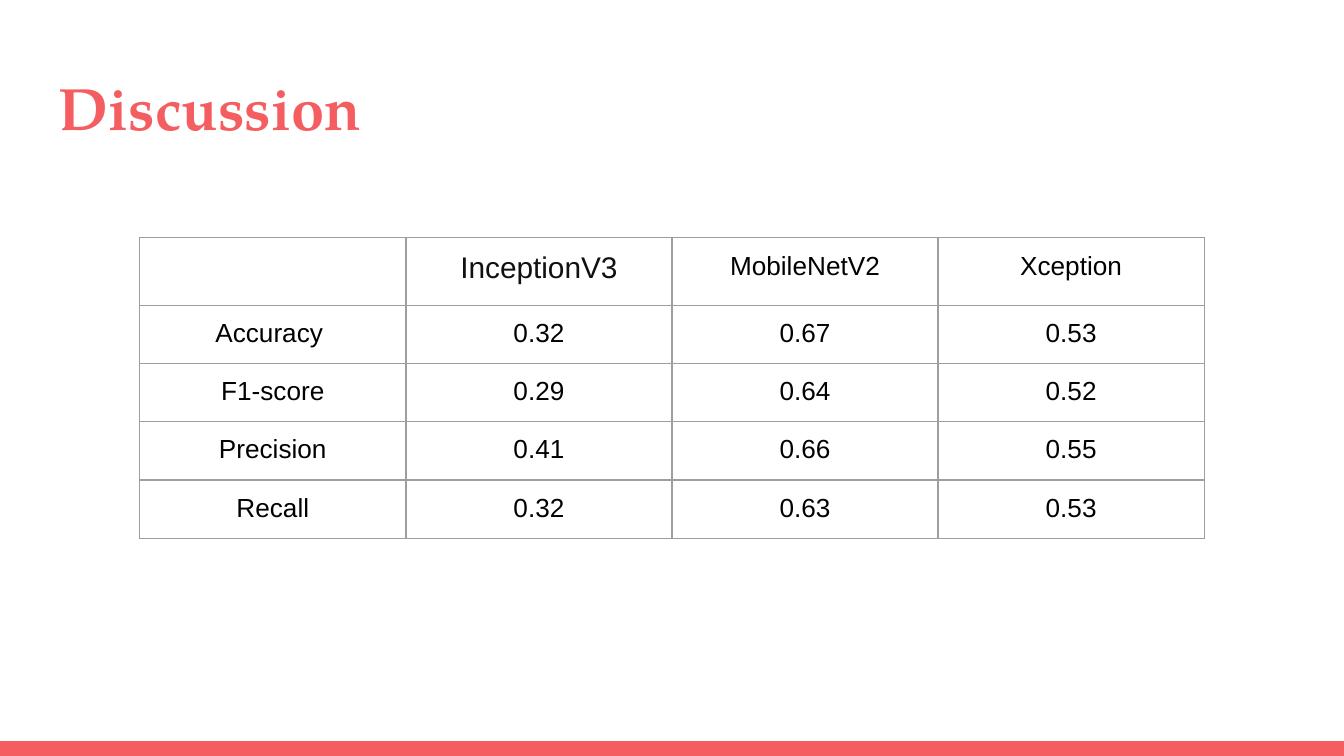
"""Build the discussion slide: a title, a table of model scores and a footer bar."""
import pptx
import pptx.util
import pptx.dml.color
import pptx.enum.shapes
import pptx.enum.text
import pptx.oxml
import pptx.oxml.ns

TITLE = "Discussion"
SCORES = [
    ("", "InceptionV3", "MobileNetV2", "Xception"),
    ("Accuracy ", "0.32", "0.67", "0.53"),
    ("F1-score", "0.29", "0.64", "0.52"),
    ("Precision", "0.41", "0.66", "0.55"),
    ("Recall", "0.32", "0.63", "0.53"),
]
COLORS = {"coral": "F55E61", "grid": "9E9E9E", "text": "000000", "lead": "111111"}
WIDTH = 10
HEIGHT = WIDTH * 9 / 16
COL, ROW, TOP = 1.98, 0.42, 1.77
PAD, BAR = 0.1, 0.11

Inches, Pt = pptx.util.Inches, pptx.util.Pt
SPACE = pptx.oxml.ns.nsdecls("a")


def rgb(name):
    return pptx.dml.color.RGBColor.from_string(COLORS[name])


def style(font, face, size, color, bold=False):
    font.name, font.size, font.bold = face, Pt(size), bold
    font.color.rgb = rgb(color)


def pad(box):
    box.margin_left = box.margin_right = Inches(PAD)
    box.margin_top = box.margin_bottom = Inches(PAD)


def border(cell):
    props = cell._tc.get_or_add_tcPr()
    for at, side in enumerate(("lnL", "lnR", "lnT", "lnB")):
        line = pptx.oxml.parse_xml(
            f'<a:{side} {SPACE} w="{Pt(0.75)}"><a:solidFill>'
            f'<a:srgbClr val="{COLORS["grid"]}"/></a:solidFill></a:{side}>')
        props.insert(at, line)


def add_bar(slide):
    bar = slide.shapes.add_shape(
        pptx.enum.shapes.MSO_SHAPE.RECTANGLE, 0, Inches(HEIGHT - BAR),
        Inches(WIDTH), Inches(BAR))
    bar.shadow.inherit = False
    bar.fill.solid()
    bar.fill.fore_color.rgb = rgb("coral")
    bar.line.fill.background()


def add_title(slide):
    left = 0.34
    box = slide.shapes.add_textbox(
        Inches(left), Inches(0.43), Inches(WIDTH - 2 * left), Inches(0.68))
    frame = box.text_frame
    frame.word_wrap = True
    pad(frame)
    frame.text = TITLE
    style(frame.paragraphs[0].font, "TeX Gyre Pagella", 32, "coral", True)


def fill_cell(cell, text, lead):
    cell.fill.background()
    border(cell)
    pad(cell)
    par = cell.text_frame.paragraphs[0]
    if text:
        par.alignment = pptx.enum.text.PP_ALIGN.CENTER
        run = par.add_run()
        run.text = text
        style(run.font, "Arial", 16 if lead else 14, "lead" if lead else "text")
    else:
        par._p.append(pptx.oxml.parse_xml(
            f'<a:endParaRPr {SPACE} sz="1800"><a:latin typeface="Arial"/></a:endParaRPr>'))


def add_scores(slide):
    rows, cols = len(SCORES), len(SCORES[0])
    wide = cols * COL
    table = slide.shapes.add_table(
        rows, cols, Inches((WIDTH - wide) / 2), Inches(TOP),
        Inches(wide), Inches(rows * ROW)).table
    table.first_row = table.horz_banding = False
    for r, row in enumerate(SCORES):
        for c, text in enumerate(row):
            fill_cell(table.cell(r, c), text, (r, c) == (0, 1))


def main():
    deck = pptx.Presentation()
    deck.slide_width, deck.slide_height = Inches(WIDTH), Inches(HEIGHT)
    slide = deck.slides.add_slide(deck.slide_layouts[6])
    add_bar(slide)
    add_title(slide)
    add_scores(slide)
    deck.save("out.pptx")


if __name__ == "__main__":
    main()
